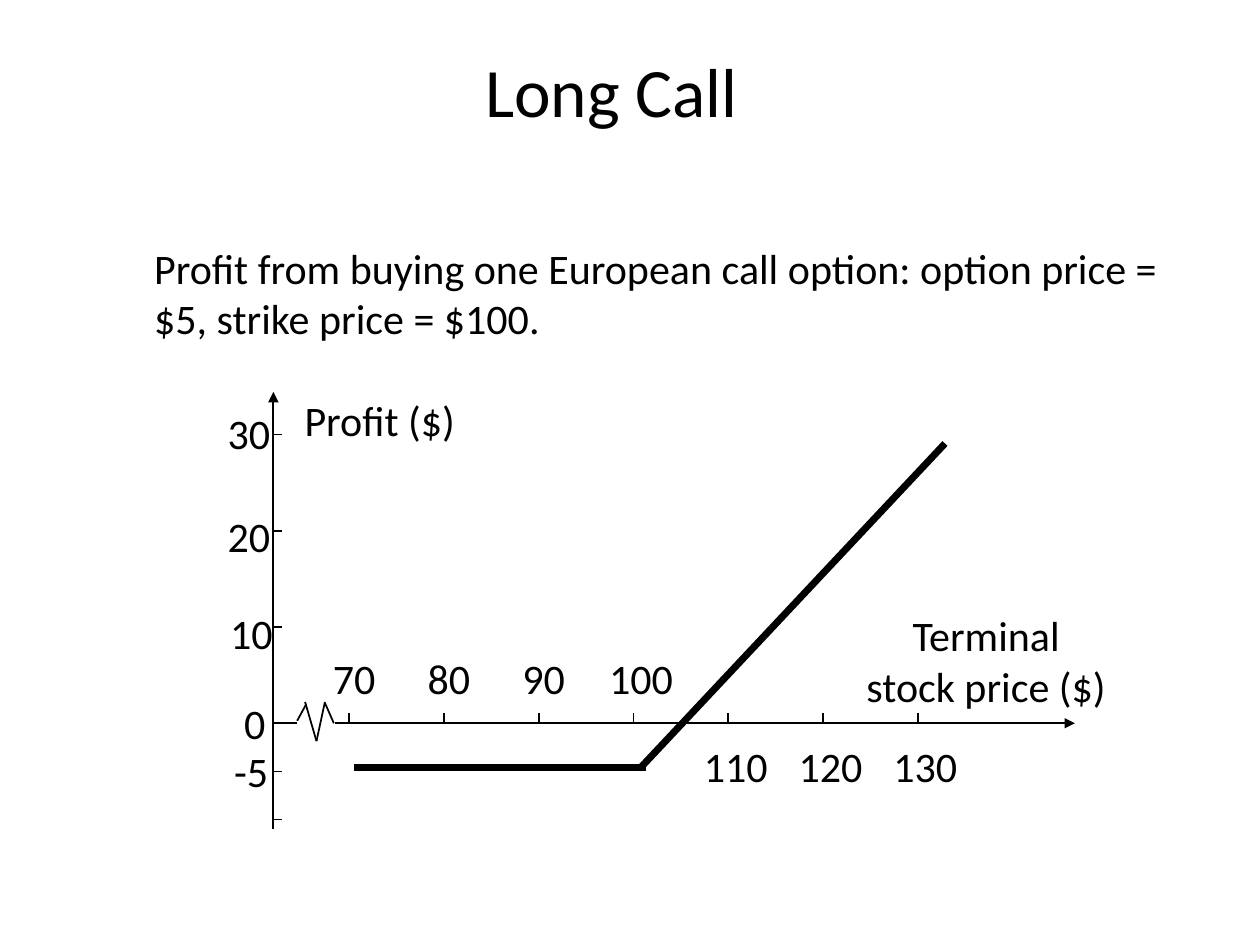
from lxml.etree import SubElement
from pptx import Presentation
from pptx.dml.color import RGBColor
from pptx.enum.shapes import MSO_CONNECTOR
from pptx.enum.text import MSO_ANCHOR, MSO_AUTO_SIZE, PP_ALIGN
from pptx.oxml.ns import qn
from pptx.util import Cm, Pt

BLACK = RGBColor(0, 0, 0)
TITLE = "Long Call"
BODY = ("Profit from buying one European call option: "
        "option price = $5, strike price = $100.")

# Axis geometry in cm
AXIS_X, ZERO_Y = 5.51, 14.58
FIRST_PRICE, FIRST_X = 70, 7.04
STEP_X, STEP_Y = 1.91, 1.94       # per 10 dollars
TICK = 0.18

PRICES = range(70, 140, 10)
PROFIT_TICKS = [30, 20, 10, -5, -10]
# profit, left, top, width of its label
PROFIT_LABELS = [(30, 4.34, 8.1, 1.45), (20, 4.34, 10.16, 1.45),
                 (10, 4.39, 12.12, 1.45), (0, 4.67, 13.94, 0.97),
                 (-5, 4.47, 14.91, 1.24)]
AXIS_TITLES = [(["Profit ($)"], 5.89, 7.82, 3.76, 1.27, PP_ALIGN.LEFT),
               (["Terminal", "stock price ($)"], 16.97, 12.17, 5.82, 2.29,
                PP_ALIGN.CENTER)]
AXES = [(AXIS_X, 16.71, AXIS_X, 7.9), (6.76, ZERO_Y, 21.67, ZERO_Y)]
AXIS_BREAK = [(6.38, 14.94, 6.55, 14.15), (6.73, 14.58, 6.55, 14.17),
              (6.38, 14.94, 6.15, 14.15), (6.17, 14.2, 5.99, 14.53),
              (5.99, 14.58, 5.49, 14.58)]
PAYOFF = [(7.14, 15.47, 13.03, 15.47), (12.9, 15.49, 19.05, 8.94)]


def price_x(price):
    return FIRST_X + STEP_X * (price - FIRST_PRICE) / 10


def profit_y(profit):
    return ZERO_Y - STEP_Y * profit / 10


def write(sp, lines, size, align=PP_ALIGN.LEFT, **frame):
    tf = sp.text_frame
    for name, value in frame.items():
        setattr(tf, name, value)
    tf.text = "\n".join(lines)
    style = {"name": "Calibri", "size": Pt(size), "bold": False}
    for p in tf.paragraphs:
        p.alignment = align
        for r in p.runs:
            for name, value in style.items():
                setattr(r.font, name, value)
            r.font.color.rgb = BLACK


def add_line(shapes, ends, width=1, arrow=False):
    line = shapes.add_connector(MSO_CONNECTOR.STRAIGHT, *map(Cm, ends))
    line.line.color.rgb = BLACK
    line.line.width = Pt(width)
    if arrow:
        SubElement(line.line._get_or_add_ln(), qn("a:tailEnd"), type="triangle")
    SubElement(line._element.spPr, qn("a:effectLst"))


def add_label(shapes, lines, left, top, width, height=1.27,
              align=PP_ALIGN.LEFT):
    sp = shapes.add_textbox(Cm(left), Cm(top), Cm(width), Cm(height))
    write(sp, lines, 24, align, word_wrap=False,
          auto_size=MSO_AUTO_SIZE.SHAPE_TO_FIT_TEXT)


def add_chart_drawing(shapes):
    for ends in AXES:
        add_line(shapes, ends, arrow=True)
    for ends in AXIS_BREAK:
        add_line(shapes, ends)
    for profit in PROFIT_TICKS:
        y = profit_y(profit)
        add_line(shapes, (AXIS_X, y, AXIS_X + TICK, y))
    for price in PRICES:
        x = price_x(price)
        add_line(shapes, (x, ZERO_Y - TICK - 0.03, x, ZERO_Y - 0.03))
    for ends in PAYOFF:
        add_line(shapes, ends, width=4)

    for profit, left, top, width in PROFIT_LABELS:
        add_label(shapes, [str(profit)], left, top, width)
    for price in PRICES:
        # Labels sit above the axis up to the strike, below it beyond
        top = 13.03 if price <= 100 else 14.81
        indent, width = (0.58, 1.45) if price < 100 else (0.74, 1.93)
        add_label(shapes, [str(price)], price_x(price) - indent, top, width)
    for title in AXIS_TITLES:
        add_label(shapes, *title)


def main():
    prs = Presentation()
    prs.slide_width, prs.slide_height = Cm(25.4), Cm(19.05)
    s = prs.slides.add_slide(prs.slide_layouts[5])

    title = s.shapes.title
    place = {"left": 1.27, "top": 0.84, "width": 22.43, "height": 3.61}
    for name, value in place.items():
        setattr(title, name, Cm(value))
    write(title, [TITLE], 39.6, PP_ALIGN.CENTER, margin_right=Cm(0.57),
          vertical_anchor=MSO_ANCHOR.TOP, auto_size=MSO_AUTO_SIZE.NONE)

    body = s.shapes.add_textbox(Cm(1.9), Cm(4.45), Cm(22.71), Cm(11.43))
    write(body, [BODY], 24, word_wrap=True, margin_left=Cm(1.21),
          margin_top=Cm(0.43))

    add_chart_drawing(s.shapes.add_group_shape().shapes)
    prs.save("out.pptx")


if __name__ == "__main__":
    main()
